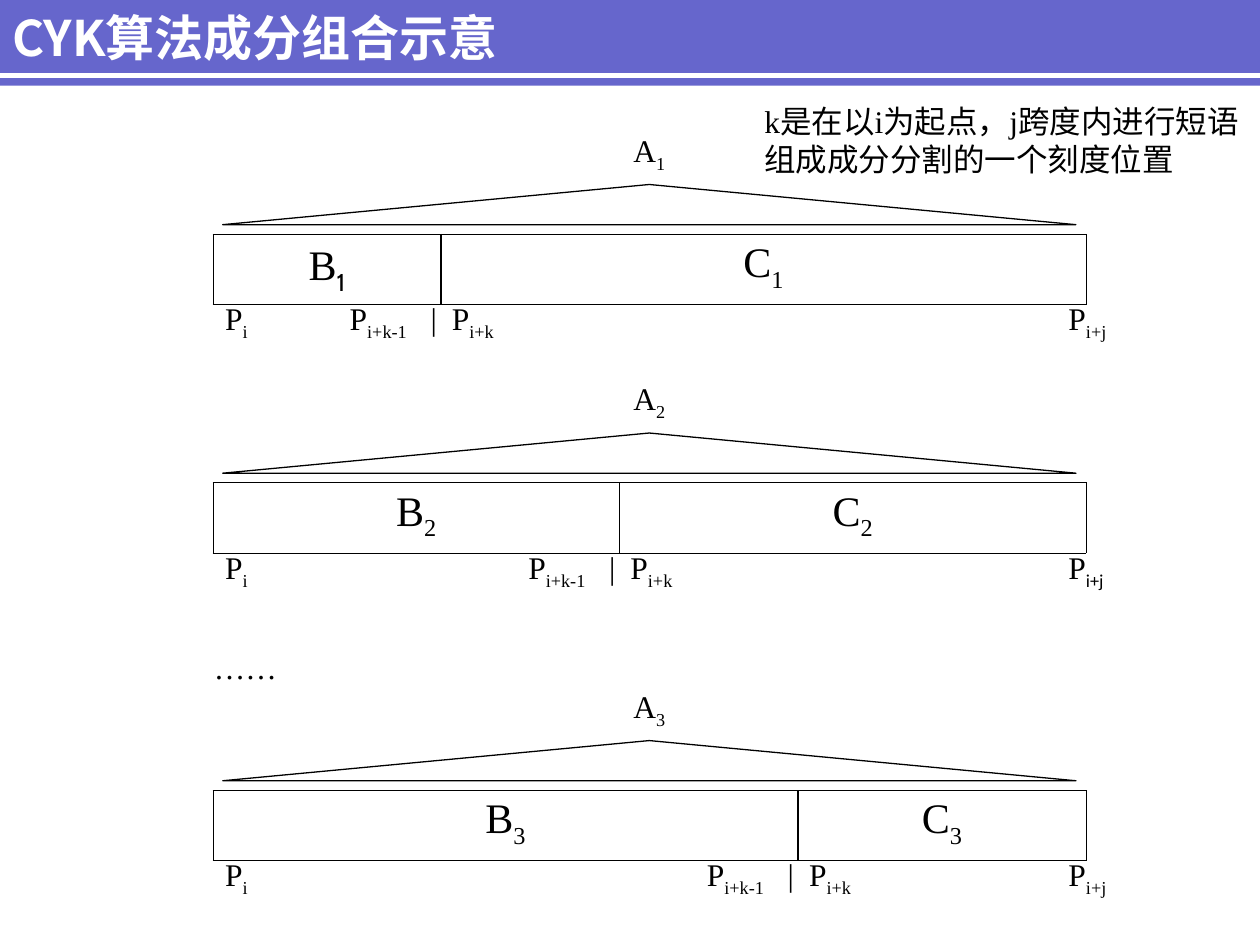
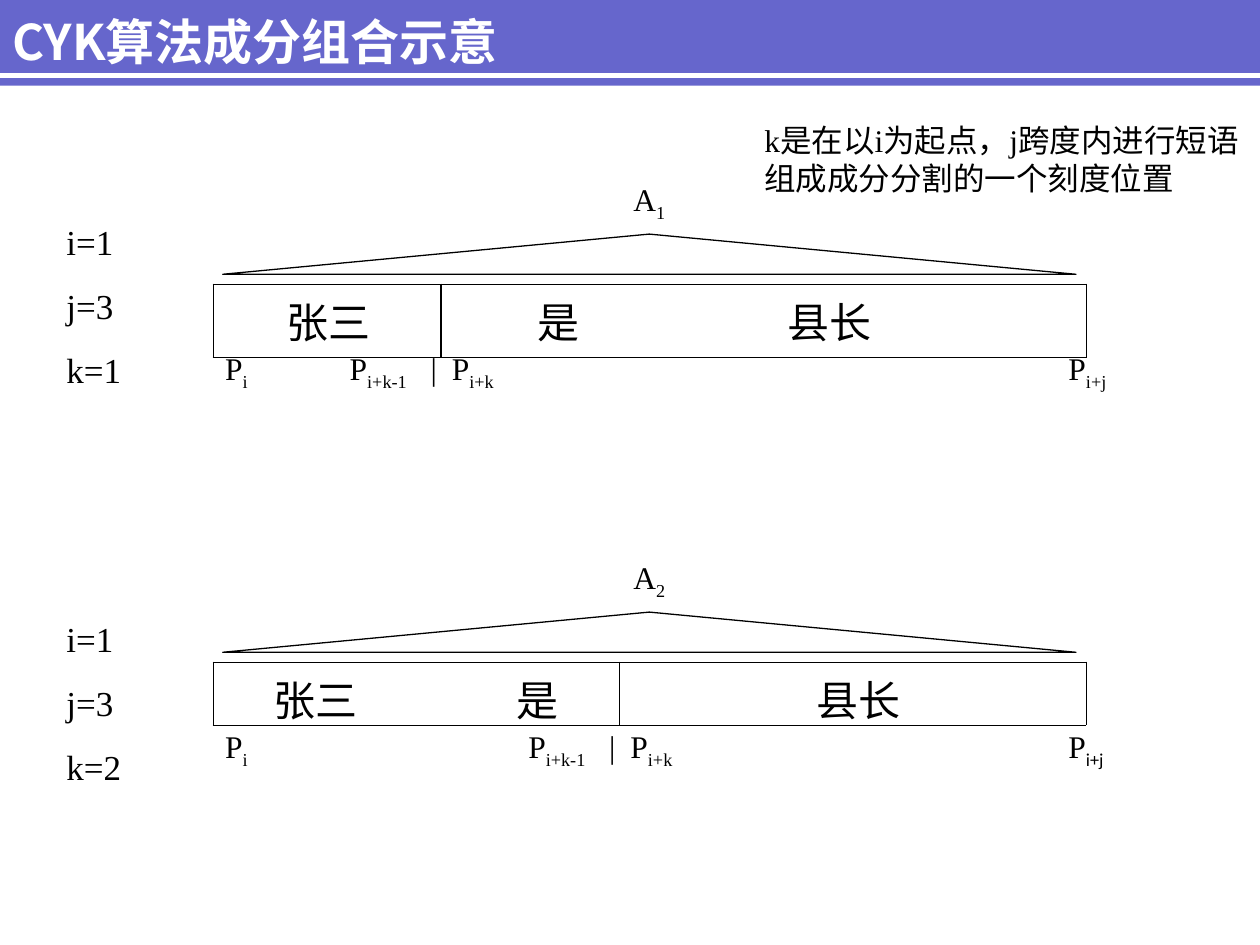
from dataclasses import dataclass

from lxml import etree
from pptx import Presentation
from pptx.dml.color import RGBColor
from pptx.enum.shapes import MSO_CONNECTOR, MSO_SHAPE
from pptx.enum.text import MSO_ANCHOR, MSO_AUTO_SIZE, PP_ALIGN
from pptx.oxml.ns import qn
from pptx.util import Cm, Pt

LEFT, CENTER = PP_ALIGN.LEFT, PP_ALIGN.CENTER
MIDDLE = MSO_ANCHOR.MIDDLE
FIXED, GROW = MSO_AUTO_SIZE.NONE, MSO_AUTO_SIZE.SHAPE_TO_FIT_TEXT
RECTANGLE, TRIANGLE = MSO_SHAPE.RECTANGLE, MSO_SHAPE.ISOSCELES_TRIANGLE
STRAIGHT = MSO_CONNECTOR.STRAIGHT


@dataclass(frozen=True)
class Theme:
    band: RGBColor = RGBColor(0x66, 0x66, 0xCC)
    white: RGBColor = RGBColor(0xFF, 0xFF, 0xFF)
    ink: RGBColor = RGBColor(0, 0, 0)
    cjk: str = "Noto Sans CJK SC"
    serif: str = "Times New Roman"
    title: int = 28
    cell: int = 24
    values: int = 20
    body: int = 18
    outer_rule: float = 0.23
    inner_rule: float = 1.08


@dataclass(frozen=True)
class Split:
    index: str
    top: float
    first_width: float
    words: tuple = ()
    b_font: str = Theme.serif
    end_font: str = Theme.serif


THEME = Theme()
SLIDE_WIDTH, SLIDE_HEIGHT = 25.4, 19.05
STRIP_LEFT, STRIP_WIDTH = 4.29, 17.6
TITLE = "CYK算法成分组合示意"
NOTE = "k是在以i为起点，j跨度内进行短语组成成分分割的一个刻度位置"

RULE_SPLITS = (
    Split("1", 4.72, 4.6, b_font="Cabin"),
    Split("2", 9.73, 8.2, end_font="Calibri"),
    Split("3", 15.93, 11.8),
)
SENTENCE_SPLITS = (
    Split("1", 5.72, 4.6, (((1.24, "张三"),), ((1.7, "是"), (6.73, "县长")))),
    Split("2", 13.34, 8.2, (((0.97, "张三"), (5.87, "是")), ((3.72, "县长"),)),
          end_font="Calibri"),
)


def add_span(para, text, size, font=THEME.serif, color=THEME.ink, subscript=False):
    span = para.add_run()
    span.text = text
    span.font.size = Pt(size)
    span.font.name = font
    span.font.color.rgb = color
    properties = span._r.get_or_add_rPr()
    if any(letter >= "一" for letter in text):
        etree.SubElement(properties, qn("a:ea"), typeface=THEME.cjk)
    if subscript:
        properties.set("baseline", "-25000")
    return span


def add_symbol(para, letter, index, size, index_font=THEME.serif):
    add_span(para, letter, size)
    add_span(para, index, size, index_font, subscript=True)


def set_tabs(para, stops):
    tab_list = etree.SubElement(para._p.get_or_add_pPr(), qn("a:tabLst"))
    for stop in stops:
        etree.SubElement(tab_list, qn("a:tab"), pos=str(Cm(stop)), algn="l")


def add_text_box(page, left, top, width, height):
    box = page.shapes.add_textbox(Cm(left), Cm(top), Cm(width), Cm(height))
    box.text_frame.word_wrap = True
    box.text_frame.auto_size = GROW
    return box.text_frame


def add_header(page, layout):
    band = page.shapes.add_shape(RECTANGLE, 0, 0, Cm(SLIDE_WIDTH), Cm(1.73))
    band.shadow.inherit = False
    band.fill.solid()
    band.fill.fore_color.rgb = THEME.band
    band.line.fill.background()
    stripe = page.shapes.add_connector(STRAIGHT, 0, Cm(1.52), Cm(SLIDE_WIDTH), Cm(1.52))
    stripe.line.color.rgb = THEME.white
    stripe.line.width = Pt(3)
    etree.SubElement(stripe.element.spPr, qn("a:effectLst"))
    for position, part in enumerate((band, stripe), start=2):
        layout.shapes.element.insert(position, part.element)


def add_title(page, top, height):
    title = page.shapes.title
    title.left, title.top, title.width, title.height = 0, Cm(top), Cm(19.1), Cm(height)
    frame = title.text_frame
    frame.auto_size = FIXED
    frame.vertical_anchor = MIDDLE
    frame.margin_top = frame.margin_bottom = 0
    para = frame.paragraphs[0]
    para.alignment = LEFT
    add_span(para, TITLE, THEME.title, THEME.cjk, THEME.white).font.bold = True


def add_note(page, top):
    frame = add_text_box(page, 15.16, top, 10.24, 1.78)
    add_span(frame.paragraphs[0], NOTE, THEME.body)


def add_values(page, top, lines):
    frame = add_text_box(page, 1.09, top, 2.6, 3.68)
    for number, line in enumerate(lines):
        para = frame.add_paragraph() if number else frame.paragraphs[0]
        if number:
            para.space_before = Pt(12.5)
        add_span(para, line, THEME.values)


def set_borders(cell, **widths):
    properties = cell._tc.get_or_add_tcPr()
    for position, side in enumerate("LRTB"):
        width = widths.get(side, THEME.outer_rule)
        border = etree.Element(qn(f"a:ln{side}"), w=str(Pt(width)))
        fill = etree.SubElement(border, qn("a:solidFill"))
        etree.SubElement(fill, qn("a:srgbClr"), val=str(THEME.ink))
        properties.insert(position, border)


def add_strip(page, split, left, top, row_height):
    table = page.shapes.add_table(
        1, 2, Cm(left), Cm(top), Cm(STRIP_WIDTH), Cm(row_height)).table
    table.first_row = table.horz_banding = False
    widths = split.first_width, STRIP_WIDTH - split.first_width
    for column, (width, letter, inner_side) in enumerate(zip(widths, "BC", "RL")):
        table.columns[column].width = Cm(width)
        cell = table.cell(0, column)
        cell.fill.background()
        set_borders(cell, **{inner_side: THEME.inner_rule})
        para = cell.text_frame.paragraphs[0]
        if split.words:
            words = split.words[column]
            set_tabs(para, [stop for stop, word in words])
            for stop, word in words:
                add_span(para, "\t" + word, THEME.cell)
        else:
            para.alignment = CENTER
            index_font = split.b_font if letter == "B" else THEME.serif
            add_symbol(para, letter, split.index, THEME.cell, index_font)


def add_positions(page, split, left, top):
    para = add_text_box(page, left, top, 20, 1.12).paragraphs[0]
    after = split.first_width - 0.03
    set_tabs(para, (after - 2.06, after - 0.43, after, 17))
    add_symbol(para, "P", "i", THEME.body)
    add_symbol(para, "\tP", "i+k-1", THEME.body)
    add_span(para, "\t|", THEME.body)
    add_symbol(para, "\tP", "i+k", THEME.body)
    add_symbol(para, "\tP", "i+j", THEME.body, split.end_font)


def add_split(page, split, row_height):
    left, top = STRIP_LEFT, split.top
    add_strip(page, split, left, top, row_height)
    add_positions(page, split, left, top + 1.19)
    para = add_text_box(page, left - 0.2, top - 2.21, 18, 1.12).paragraphs[0]
    para.alignment = CENTER
    add_symbol(para, "A", split.index, THEME.body)
    roof = page.shapes.add_shape(
        TRIANGLE, Cm(left + 0.2), Cm(top - 1), Cm(17.2), Cm(0.81))
    roof.shadow.inherit = False
    roof.fill.background()
    roof.line.color.rgb = THEME.ink
    roof.line.width = Pt(0.75)


def build_rule_page(page):
    add_title(page, 0.15, 1.2)
    for split in RULE_SPLITS:
        add_split(page, split, 1.42)
    dots = add_text_box(page, 4.06, 12.93, 3.8, 1.02)
    add_span(dots.paragraphs[0], "……", THEME.body)
    add_note(page, 1.93)


def build_sentence_page(page):
    add_title(page, 0.25, 1.15)
    for split in SENTENCE_SPLITS:
        add_split(page, split, 1.27)
    add_note(page, 2.31)
    add_values(page, 4.32, ("i=1", "j=3", "k=1"))
    add_values(page, 12.32, ("i=1", "j=3", "k=2"))


def main():
    deck = Presentation()
    deck.slide_width, deck.slide_height = Cm(SLIDE_WIDTH), Cm(SLIDE_HEIGHT)
    layout = deck.slide_layouts.get_by_name("Title Only")
    pages = [deck.slides.add_slide(layout) for _ in range(2)]
    add_header(pages[0], layout)
    build_rule_page(pages[0])
    build_sentence_page(pages[1])
    deck.save("out.pptx")


if __name__ == "__main__":
    main()
